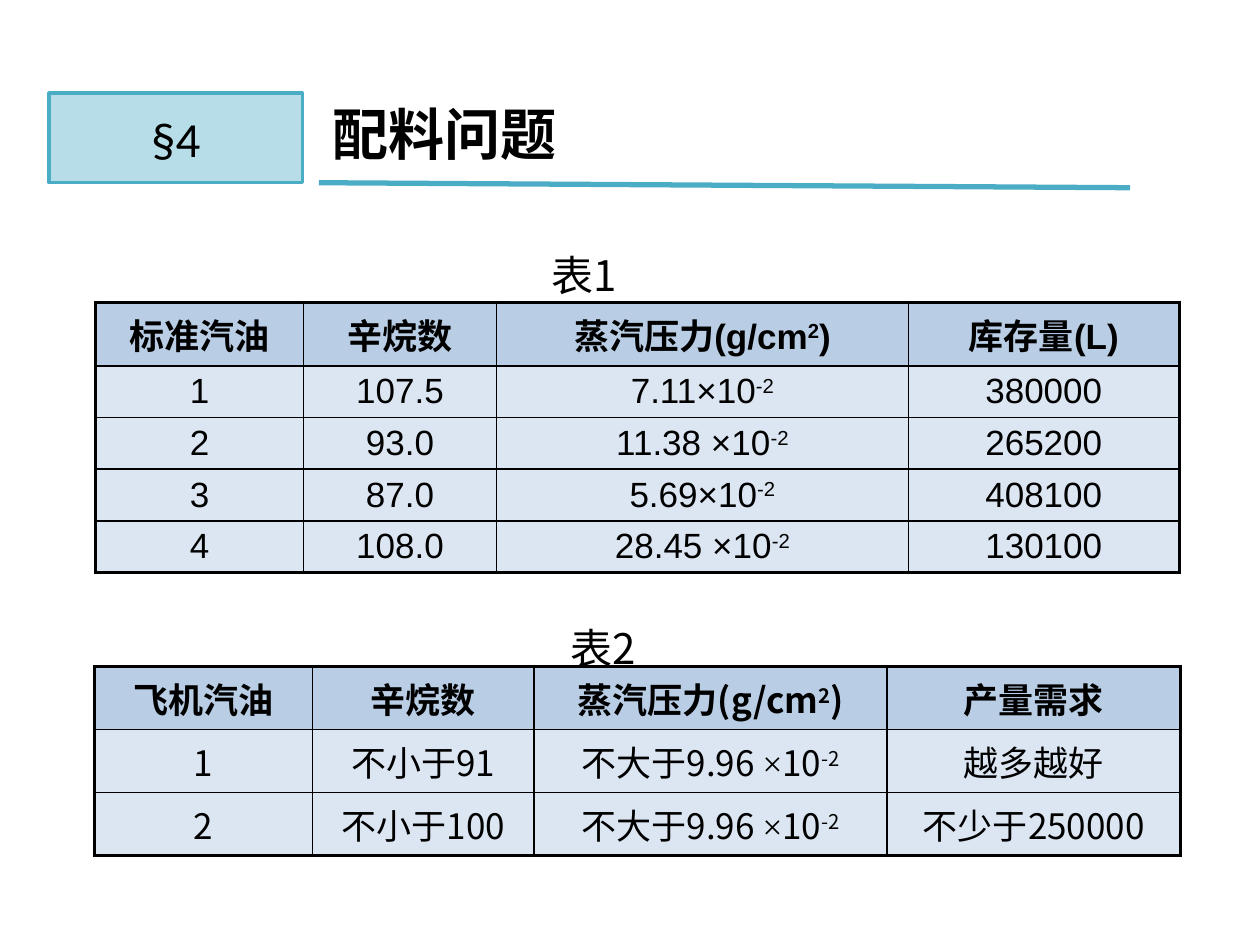
import pptx
import pptx.chart.data
import pptx.dml.color
import pptx.enum.shapes
import pptx.enum.text
import pptx.oxml
import pptx.oxml.ns
import pptx.util
from lxml import etree

Inches = pptx.util.Inches
Pt = pptx.util.Pt
qn = pptx.oxml.ns.qn
PP_ALIGN = pptx.enum.text.PP_ALIGN
MSO_ANCHOR = pptx.enum.text.MSO_ANCHOR

COLORS = {
    "text": "000000",
    "header": "B9CDE5",
    "body": "DCE6F2",
    "badge": "B7DEE8",
    "accent": "4BACC6",
}
CJK = "Noto Sans CJK SC"

TITLE = "配料问题"
SECTION = "§4"
TABLES = [
    {
        "caption": "表1",
        "caption_at": (4.28, 1.93),
        "at": (0.76, 2.4),
        "font": "Arial",
        "times_font": "Arial",
        "columns": [1.65, 1.53, 3.27, 2.15],
        "heights": [0.5, 0.41, 0.41, 0.41, 0.41],
        "rows": [
            ["标准汽油", "辛烷数", "蒸汽压力(g/cm^2^)", "库存量(L)"],
            ["1", "107.5", "7.11×10^-2", "380000"],
            ["2", "93.0", "11.38 ×10^-2", "265200"],
            ["3", "87.0", "5.69×10^-2", "408100"],
            ["4", "108.0", "28.45 ×10^-2", "130100"],
        ],
    },
    {
        "caption": "表2",
        "caption_at": (4.43, 4.89),
        "at": (0.75, 5.29),
        "font": CJK,
        "times_font": "Times New Roman",
        "columns": [1.73, 1.76, 2.8, 2.33],
        "heights": [0.5, 0.5, 0.5],
        "rows": [
            ["飞机汽油", "辛烷数", "蒸汽压力(g/cm^2^)", "产量需求"],
            ["1", "不小于91", "不大于9.96 ×10^-2", "越多越好"],
            ["2", "不小于100", "不大于9.96 ×10^-2", "不少于250000"],
        ],
    },
]


def color(name):
    return pptx.dml.color.RGBColor.from_string(COLORS[name])


def format_paragraph(paragraph, size, name, bold=False, align=PP_ALIGN.LEFT):
    paragraph.alignment = align
    font = paragraph.font
    font.size = Pt(size)
    font.bold = bold
    font.color.rgb = color("text")
    font.name = name
    properties = paragraph._p.pPr.find(qn("a:defRPr"))
    etree.SubElement(properties, qn("a:ea"), typeface=CJK)


def add_runs(paragraph, text, font, times_font):
    for index, part in enumerate(text.split("^")):
        pieces = [part]
        if times_font != font and "×" in part:
            before, times, after = part.partition("×")
            pieces = [before, times, after]
        for piece in filter(None, pieces):
            run = paragraph.add_run()
            run.text = piece
            if piece == "×":
                run.font.name = times_font
            if index % 2:
                run._r.get_or_add_rPr().set("baseline", "30000")


def set_borders(cell, outer_sides):
    properties = cell._tc.get_or_add_tcPr()
    for index, side in enumerate(("left", "right", "top", "bottom")):
        width = Pt(2.25 if side in outer_sides else 1)
        tag = "a:ln" + side[0].upper()
        border = etree.Element(qn(tag), w=str(width))
        fill = etree.SubElement(border, qn("a:solidFill"))
        etree.SubElement(fill, qn("a:srgbClr"), val=COLORS["text"])
        properties.insert(index, border)


def add_data_table(slide, data):
    rows, columns, heights = data["rows"], data["columns"], data["heights"]
    left, top = data["at"]
    table = slide.shapes.add_table(
        len(rows), len(columns), Inches(left), Inches(top),
        Inches(sum(columns)), Inches(sum(heights))).table
    for column, width in zip(table.columns, columns):
        column.width = Inches(width)
    for row, height in zip(table.rows, heights):
        row.height = Inches(height)
    for i, row in enumerate(rows):
        for j, text in enumerate(row):
            cell = table.cell(i, j)
            cell.fill.solid()
            cell.fill.fore_color.rgb = color("body" if i else "header")
            edges = {"top": i == 0, "bottom": i == len(rows) - 1,
                     "left": j == 0, "right": j == len(columns) - 1}
            set_borders(cell, [side for side, outer in edges.items() if outer])
            paragraph = cell.text_frame.paragraphs[0]
            add_runs(paragraph, text, data["font"], data["times_font"])
            format_paragraph(paragraph, 20, data["font"], i == 0, PP_ALIGN.CENTER)


def add_caption(slide, data):
    left, top = data["caption_at"]
    caption = slide.shapes.add_textbox(
        Inches(left), Inches(top), Inches(2.66), Inches(0.51))
    caption.text_frame.word_wrap = True
    caption.text_frame.text = data["caption"]
    format_paragraph(caption.text_frame.paragraphs[0], 24, CJK)


def add_heading(slide):
    title = slide.shapes.title
    title.left, title.top = Inches(2.54), Inches(0.74)
    title.width, title.height = Inches(7.36), Inches(0.64)
    frame = title.text_frame
    frame.text = TITLE
    frame.vertical_anchor = MSO_ANCHOR.TOP
    frame.auto_size = pptx.enum.text.MSO_AUTO_SIZE.NONE
    format_paragraph(frame.paragraphs[0], 32, CJK, True)

    badge = slide.shapes.add_shape(
        pptx.enum.shapes.MSO_SHAPE.RECTANGLE,
        Inches(0.39), Inches(0.74), Inches(2.01), Inches(0.71))
    badge.shadow.inherit = False
    badge.fill.solid()
    badge.fill.fore_color.rgb = color("badge")
    badge.line.color.rgb = color("accent")
    badge.line.width = Pt(2)
    badge.text_frame.text = SECTION
    badge.text_frame.vertical_anchor = MSO_ANCHOR.MIDDLE
    format_paragraph(badge.text_frame.paragraphs[0], 28, "Calibri",
                     align=PP_ALIGN.CENTER)

    underline = slide.shapes.add_connector(
        pptx.enum.shapes.MSO_CONNECTOR.STRAIGHT,
        Inches(2.53), Inches(1.45), Inches(8.97), Inches(1.49))
    underline.line.color.rgb = color("accent")
    underline.line.width = Pt(3)
    etree.SubElement(underline._element.spPr, qn("a:effectLst"))


def main():
    presentation = pptx.Presentation()
    presentation.slide_width = Inches(10)
    presentation.slide_height = Inches(7.5)
    slide = presentation.slides.add_slide(presentation.slide_layouts[5])
    add_heading(slide)
    for data in TABLES:
        add_data_table(slide, data)
        add_caption(slide, data)
    presentation.save("out.pptx")


if __name__ == "__main__":
    main()
